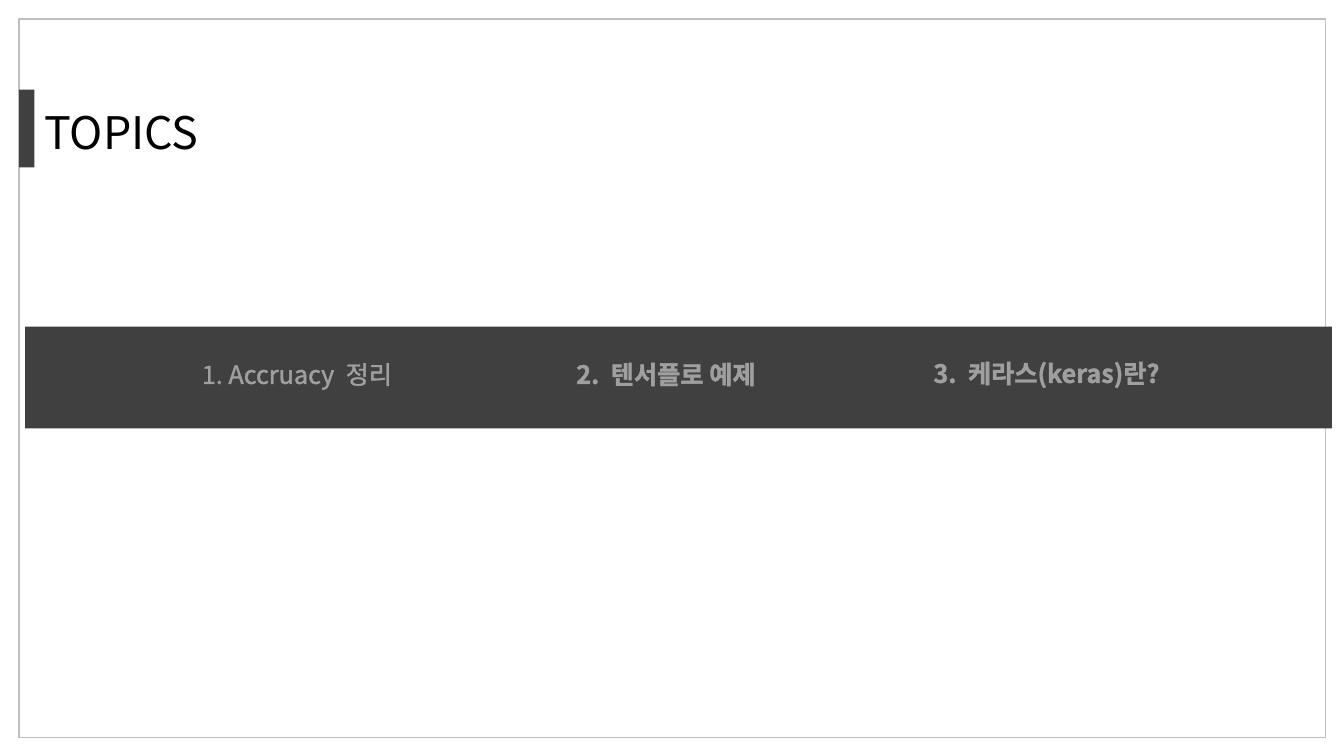
from lxml.etree import SubElement
from pptx import Presentation
from pptx.dml.color import RGBColor
from pptx.enum.shapes import MSO_SHAPE
from pptx.enum.text import MSO_AUTO_SIZE, PP_ALIGN
from pptx.oxml.ns import qn
from pptx.util import Inches, Pt

FONT = "Noto Sans CJK KR"
BLACK = RGBColor(0x00, 0x00, 0x00)
WHITE = RGBColor(0xFF, 0xFF, 0xFF)
DARK = RGBColor(0x40, 0x40, 0x40)
BORDER = RGBColor(0xBF, 0xBF, 0xBF)

# Text, left, top and width within the band, bold
TOPICS = [
    ("1. Accruacy  정리", 1.15, 0.27, 3.09, False),
    ("2.  텐서플로 예제", 4.65, 0.27, 3.41, True),
    ("3.  케라스(keras)란?", 8.88, 0.26, 2.37, True),
]


def add_rect(s, x, y, w, h, fill=None, line=None):
    sp = s.shapes.add_shape(MSO_SHAPE.RECTANGLE, Inches(x), Inches(y), Inches(w), Inches(h))
    sp.shadow.inherit = False
    if fill is None:
        sp.fill.background()
    else:
        sp.fill.solid()
        sp.fill.fore_color.rgb = fill
    if line is None:
        sp.line.fill.background()
    else:
        sp.line.color.rgb = line
        sp.line.width = Pt(1)


def outline_text(r, color):
    """Give the letters a half-transparent outline."""
    rPr = r._r.get_or_add_rPr()
    ln = SubElement(rPr, qn("a:ln"), w=str(Pt(0.75)))
    rPr.insert(0, ln)
    clr = SubElement(SubElement(ln, qn("a:solidFill")), qn("a:srgbClr"), val=str(color))
    SubElement(clr, qn("a:alpha"), val="50000")


def add_text(s, text, x, y, w, h, size, color, bold=False, align=PP_ALIGN.LEFT):
    tf = s.shapes.add_textbox(Inches(x), Inches(y), Inches(w), Inches(h)).text_frame
    tf.word_wrap = True
    tf.auto_size = MSO_AUTO_SIZE.SHAPE_TO_FIT_TEXT
    p = tf.paragraphs[0]
    p.alignment = align
    r = p.add_run()
    r.text = text
    font = p.font
    font.size = Pt(size)
    font.bold = bold
    font.color.rgb = color
    font.name = FONT
    SubElement(font._rPr, qn("a:ea"), typeface=FONT)
    outline_text(r, color)


def add_title(s, x, y, h):
    add_rect(s, x, y, 0.15, h, fill=DARK)
    add_text(s, "TOPICS", x + 0.15, y + 0.1, 1.94, 0.64, 32, BLACK)


def add_topic_band(s, x, y, w, h):
    add_rect(s, x, y, w, h, fill=DARK)
    for text, left, top, width, bold in TOPICS:
        add_text(s, text, x + left, y + top, width, 0.4, 18, WHITE, bold, PP_ALIGN.CENTER)


def main():
    prs = Presentation()
    prs.slide_width, prs.slide_height = Inches(13.33), Inches(7.5)
    s = prs.slides.add_slide(prs.slide_layouts[6])
    # Page frame
    add_rect(s, 0.19, 0.19, 12.96, 7.13, line=BORDER)
    # Title with its marker
    add_title(s, 0.19, 0.89, 0.77)
    # Band of topics
    add_topic_band(s, 0.25, 3.24, 12.96, 1.01)
    prs.save("out.pptx")


if __name__ == "__main__":
    main()
